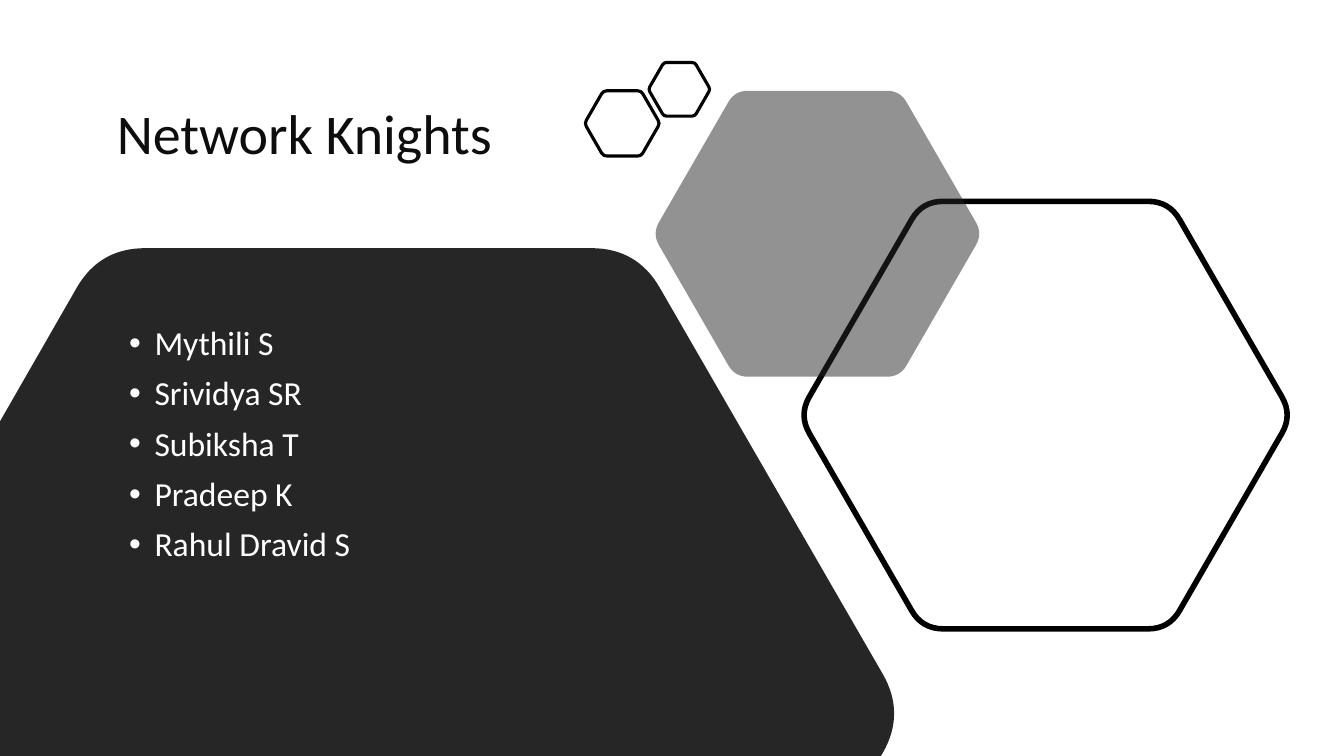
import math

from lxml import etree
from pptx import Presentation
from pptx import util as u
from pptx.dml.color import RGBColor
from pptx.enum import text
from pptx.oxml import ns

COLORS = {
    "title": "0D0D0D",
    "dark": "262626",
    "outline": "000000",
    "body": "FFFFFF",
}
FONT = "Calibri"
MEMBERS = ["Mythili S", "Srividya SR", "Subiksha T", "Pradeep K", "Rahul Dravid S"]


def rgb(name):
    return RGBColor.from_string(COLORS[name])


def hexagon_points(cx, cy, radius, cut, corners=6):
    """Start, middle and end of each rounded corner in cm, clockwise from top left."""
    vertices = [
        (cx + radius * math.cos(math.radians(a)), cy + radius * math.sin(math.radians(a)))
        for a in range(240, 600, 60)
    ]
    points = []
    for i in range(corners):
        (px, py), (vx, vy), (nx, ny) = vertices[i - 1], vertices[i], vertices[(i + 1) % 6]
        for t in (0, 0.5, 1):
            before = (1 - t) ** 2 * cut / radius
            after = t ** 2 * cut / radius
            points.append((
                vx + before * (px - vx) + after * (nx - vx),
                vy + before * (py - vy) + after * (ny - vy),
            ))
    return points


def round_corners(sp, corners):
    """Turn the two straight pieces of each corner into one Bezier curve."""
    pts = list(sp._element.iter(ns.qn("a:pt")))
    for i in range(0, 3 * corners, 3):
        start, mid, end = ([int(pt.get(k)) for k in "xy"] for pt in pts[i:i + 3])
        vertex = [2 * m - (a + b) / 2 for a, m, b in zip(start, mid, end)]
        curve = etree.Element(ns.qn("a:cubicBezTo"))
        for anchor in (start, end):
            x, y = (round((a + 2 * v) / 3) for a, v in zip(anchor, vertex))
            etree.SubElement(curve, ns.qn("a:pt"), x=str(x), y=str(y))
        mid_line, end_line = pts[i + 1].getparent(), pts[i + 2].getparent()
        curve.append(pts[i + 2])
        mid_line.getparent().remove(end_line)
        mid_line.getparent().replace(mid_line, curve)


def add_hexagon(shapes, hexagon, corners=6, extra=(), fill=None, alpha=None, line=None):
    points = hexagon_points(*hexagon, corners=corners) + list(extra)
    emu = [(u.Cm(x), u.Cm(y)) for x, y in points]
    builder = shapes.build_freeform(*emu[0])
    builder.add_line_segments(emu[1:], close=True)
    sp = builder.convert_to_shape()
    round_corners(sp, corners)
    sp.shadow.inherit = False
    if fill:
        sp.fill.solid()
        sp.fill.fore_color.rgb = rgb(fill)
    else:
        sp.fill.background()
    if alpha:
        color = sp._element.spPr.find(".//" + ns.qn("a:srgbClr"))
        etree.SubElement(color, ns.qn("a:alpha"), val=str(alpha * 1000))
    if line:
        sp.line.color.rgb = rgb("outline")
        sp.line.width = u.Pt(line)
    else:
        sp.line.fill.background()


def set_text(sp, box, lines, size, color, anchor):
    sp.left, sp.top, sp.width, sp.height = (u.Cm(v) for v in box)
    tf = sp.text_frame
    tf.text = "\n".join(lines)
    tf.word_wrap = True
    tf.auto_size = text.MSO_AUTO_SIZE.NONE
    tf.vertical_anchor = anchor
    for p in tf.paragraphs:
        p.alignment = text.PP_ALIGN.LEFT
        p.line_spacing = 0.9
        for r in p.runs:
            r.font.name = FONT
            r.font.size = u.Pt(size)
            r.font.color.rgb = rgb(color)


def format_bullets(sp):
    for p in sp.text_frame.paragraphs:
        p.space_before = u.Pt(10)
        pPr = p._p.get_or_add_pPr()
        pPr.set("marL", str(u.Cm(0.95)))
        pPr.set("indent", str(u.Cm(-0.64)))
        etree.SubElement(pPr, ns.qn("a:buFont"), typeface="Arial")
        etree.SubElement(pPr, ns.qn("a:buChar"), char="•")


def main():
    prs = Presentation()
    prs.slide_width, prs.slide_height = u.Cm(33.87), u.Cm(19.05)
    s = prs.slides.add_slide(prs.slide_layouts[0])
    title, body = s.placeholders

    # Title
    set_text(title, (2.69, 1.14, 11.89, 4.57), ["Network Knights"], 40, "title",
             text.MSO_ANCHOR.MIDDLE)

    # Dark panel: a hexagon cut off by the left and bottom slide edges
    add_hexagon(s.shapes, (9.28, 17.98, 13.54, 1.15), corners=3,
                extra=[(22.2, 19.05), (0, 19.05), (0, 10.62)], fill="dark")

    # Large hexagons
    add_hexagon(s.shapes, (26.35, 10.46, 6.22, 0.53), line=4)
    add_hexagon(s.shapes, (20.6, 5.89, 4.16, 0.33), fill="dark", alpha=50)

    # Pair of small hexagons
    pair = s.shapes.add_group_shape()
    for small in ((15.68, 3.11, 0.95, 0.09), (17.12, 2.25, 0.78, 0.07)):
        add_hexagon(pair.shapes, small, line=2.25)

    # Member list, brought in front of the panel
    set_text(body, (2.69, 8.1, 13.18, 8.59), MEMBERS, 24, "body", text.MSO_ANCHOR.TOP)
    format_bullets(body)
    s.shapes._spTree.append(body._element)

    prs.save("out.pptx")


if __name__ == "__main__":
    main()
